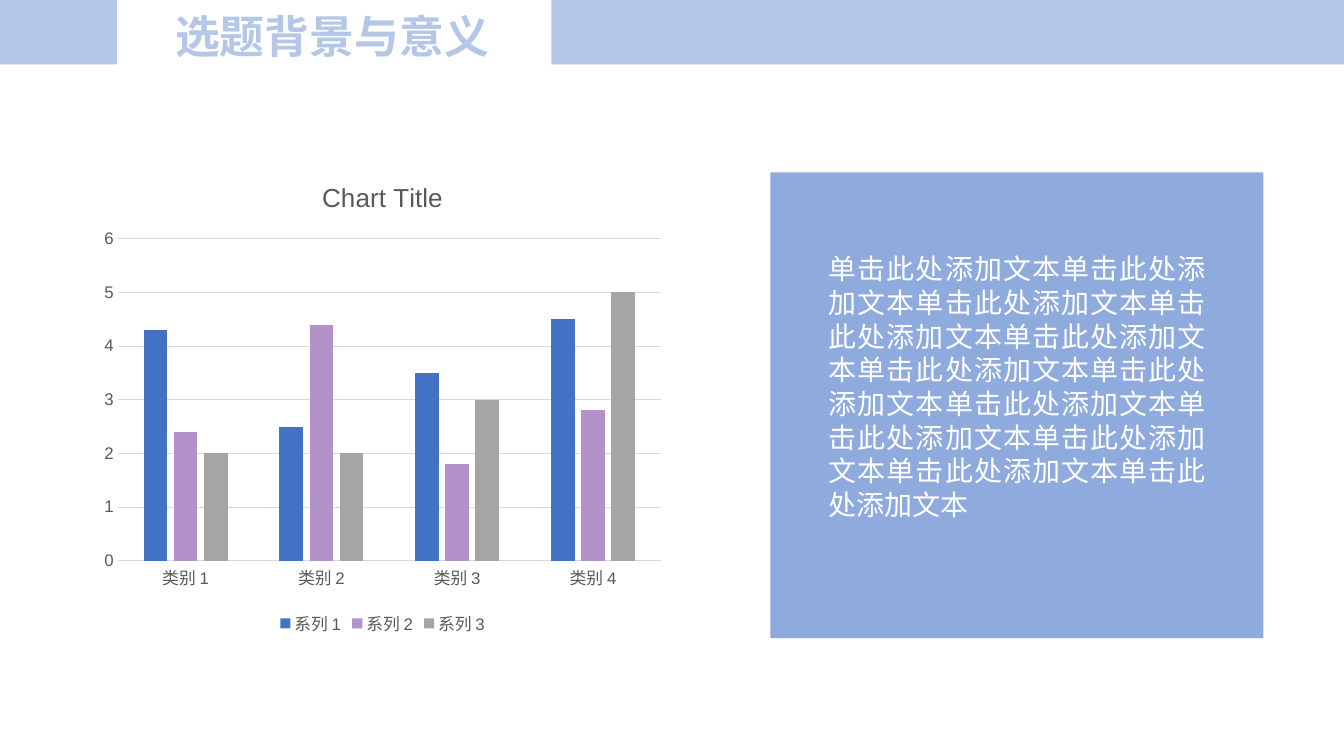
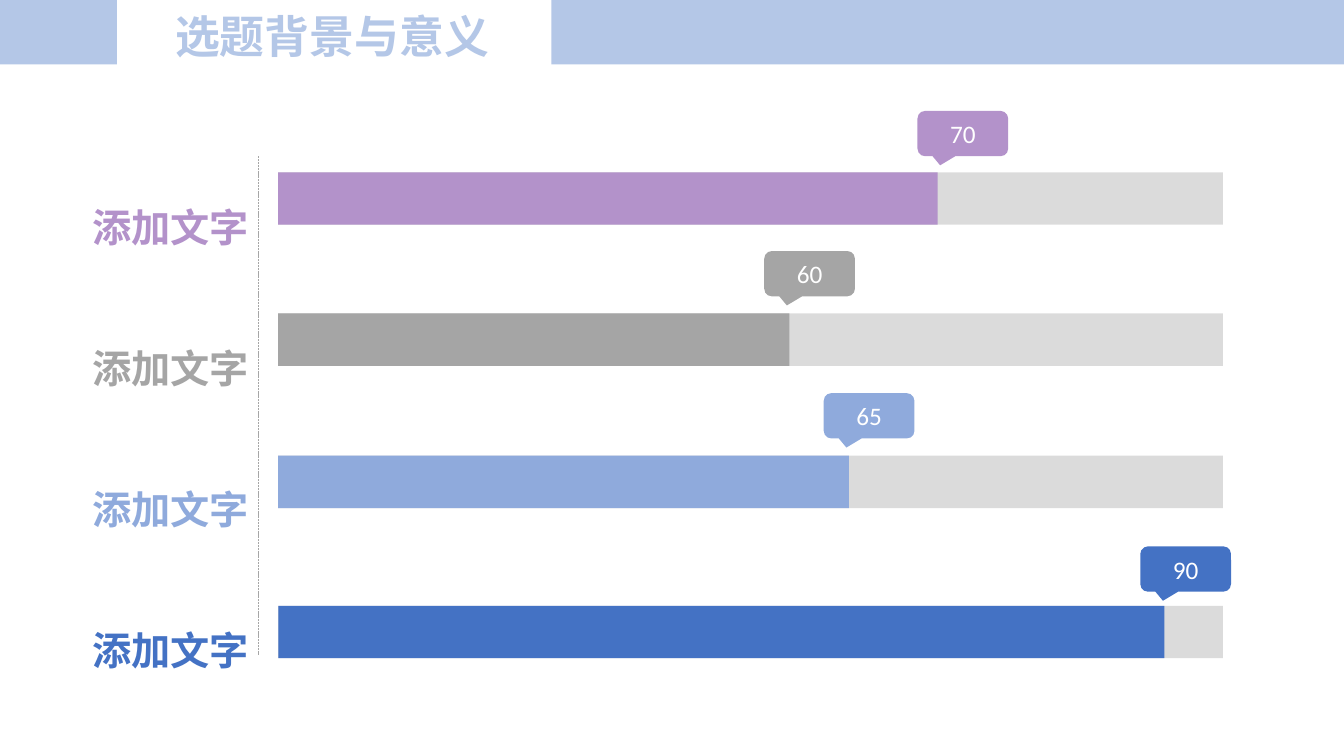
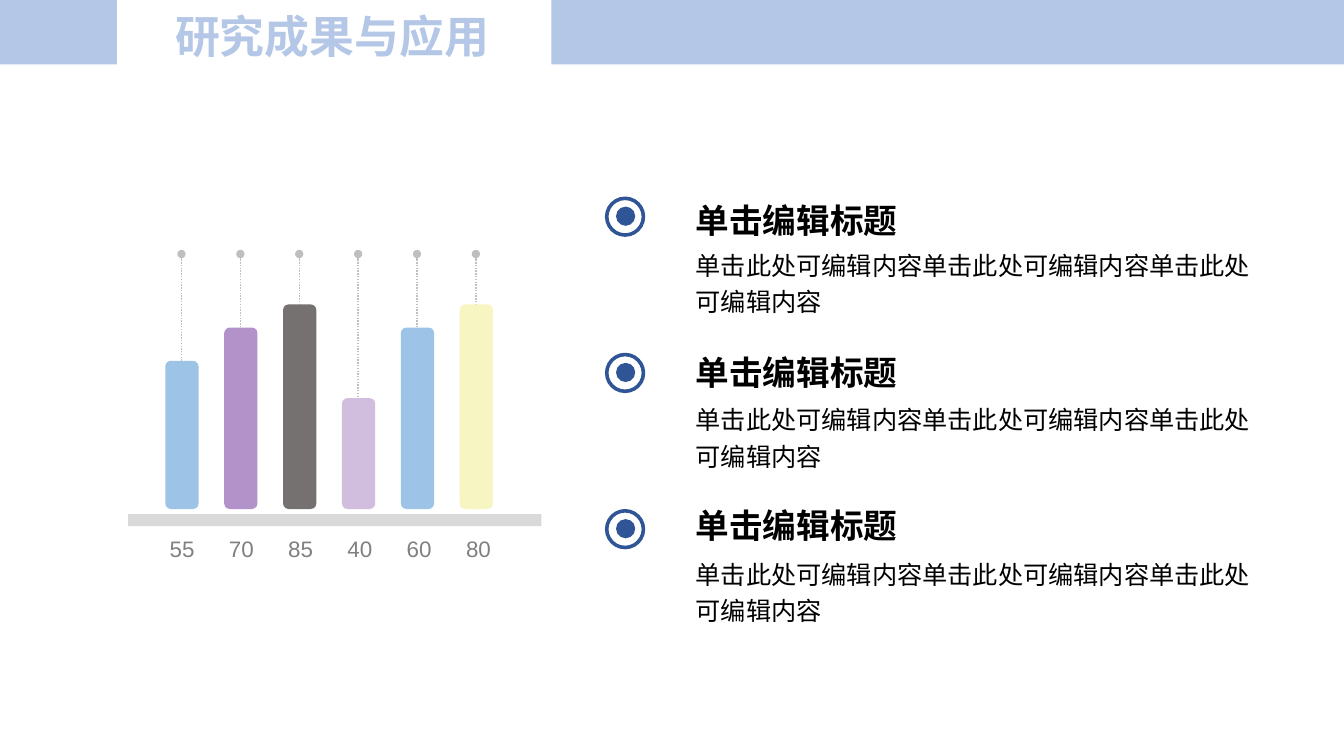
"""Build three thesis slides: a column chart, progress bars, and a pin chart with notes."""
from lxml import etree
from pptx import Presentation
from pptx.chart.data import CategoryChartData
from pptx.dml.color import RGBColor
from pptx.enum import chart as charts, dml, shapes, text
from pptx.oxml.ns import qn
from pptx.util import Inches, Pt

COLORS = {
    "band": "B4C7E7", "white": "FFFFFF", "black": "000000", "blue": "4472C4",
    "purple": "B392CA", "gray": "A5A5A5", "panel": "8FAADC", "navy": "2F5597",
    "sky": "9DC3E6", "charcoal": "767171", "lilac": "D1BEDF", "cream": "F7F5C2",
    "grid": "D9D9D9", "pin": "BFBFBF", "divider": "A6A6A6",
    "value": "808080", "chart_text": "595959",
}
COLORS = {name: RGBColor.from_string(code) for name, code in COLORS.items()}
CJK = "Noto Sans CJK SC"
SHAPE = shapes.MSO_SHAPE
CENTER = text.PP_ALIGN.CENTER
MIDDLE = text.MSO_ANCHOR.MIDDLE


def draw(page, kind, at, color):
    shape = page.shapes.add_shape(kind, *map(Inches, at))
    shape.shadow.inherit = False
    shape.fill.solid()
    shape.fill.fore_color.rgb = COLORS[color]
    shape.line.fill.background()
    return shape


def write(frame, *lines, colors=("black",), size=18, font=CJK, bold=False, align=None,
          spacing=None, anchor=text.MSO_ANCHOR.TOP, wrap=True, grow=False, margin=None):
    frame.word_wrap = wrap
    frame.vertical_anchor = anchor
    if grow:
        frame.auto_size = text.MSO_AUTO_SIZE.SHAPE_TO_FIT_TEXT
    if margin is not None:
        frame.margin_left = frame.margin_right = Inches(margin)
        frame.margin_top = frame.margin_bottom = Inches(margin)
    for index, (line, color) in enumerate(zip(lines, colors)):
        para = frame.add_paragraph() if index else frame.paragraphs[0]
        para.alignment = align
        para.line_spacing = spacing
        span = para.add_run()
        span.text = line
        span.font.size = Pt(size)
        span.font.bold = bold
        span.font.name = font
        span.font.color.rgb = COLORS[color]
        etree.SubElement(span.font._element, qn("a:ea"), typeface=font)


deck = Presentation()
deck.slide_width = Inches(13.33)
deck.slide_height = Inches(7.5)
pages = []
for title in ("选题背景与意义", "选题背景与意义", "研究成果与应用"):
    page = deck.slides.add_slide(deck.slide_layouts[6])
    draw(page, SHAPE.RECTANGLE, (5.47, 0, 7.86, 0.64), "band")
    draw(page, SHAPE.RECTANGLE, (0, 0, 1.16, 0.64), "band")
    box = page.shapes.add_textbox(*map(Inches, (1.13, 0.07, 4.33, 0.64)))
    write(box.text_frame, title, colors=["band"], size=32, bold=True, align=CENTER,
          spacing=0.9, anchor=MIDDLE)
    pages.append(page)
chart_page, progress_page, results_page = pages
ruled_lines = []

data = CategoryChartData()
data.categories = [f"类别 {number}" for number in range(1, 5)]
data.add_series("系列 1", (4.3, 2.5, 3.5, 4.5))
data.add_series("系列 2", (2.4, 4.4, 1.8, 2.8))
data.add_series("系列 3", (2, 2, 3, 5))
chart = chart_page.shapes.add_chart(
    charts.XL_CHART_TYPE.COLUMN_CLUSTERED, *map(Inches, (0.92, 1.59, 5.75, 4.76)), data).chart
chart.font.size = Pt(10)
chart.font.name = "Arial"
chart.has_title = True
write(chart.chart_title.text_frame, "Chart Title", colors=["chart_text"], size=18.6,
      font="Arial", align=CENTER)
chart.has_legend = True
chart.legend.position = charts.XL_LEGEND_POSITION.BOTTOM
chart.legend.include_in_layout = False
for font in (chart.legend.font, chart.category_axis.tick_labels.font,
             chart.value_axis.tick_labels.font):
    font.size = Pt(12)
    font.name = "Arial"
    font.color.rgb = COLORS["chart_text"]
for axis in (chart.category_axis, chart.value_axis):
    axis.major_tick_mark = axis.minor_tick_mark = charts.XL_TICK_MARK.NONE
chart.value_axis.format.line.fill.background()
for line in (chart.category_axis.format.line, chart.value_axis.major_gridlines.format.line):
    line.color.rgb = COLORS["grid"]
    line.width = Pt(0.75)
plot = chart.plots[0]
plot.gap_width = 219
plot.overlap = -27
plot.vary_by_categories = False
for series, color in zip(plot.series, ("blue", "purple", "gray")):
    series.format.fill.solid()
    series.format.fill.fore_color.rgb = COLORS[color]

draw(chart_page, SHAPE.RECTANGLE, (7.64, 1.71, 4.89, 4.62), "panel")
box = chart_page.shapes.add_textbox(*map(Inches, (8.12, 2.45, 3.94, 2.79)))
write(box.text_frame, "单击此处添加文本" * 12, colors=["white"], size=20,
      align=text.PP_ALIGN.JUSTIFY, grow=True)

progress = [
    ("70", "purple", 1.71, 6.54, 9.1, 1.1),
    ("60", "gray", 3.11, 5.07, 7.58, 2.49),
    ("65", "panel", 4.52, 5.66, 8.17, 3.9),
    ("90", "blue", 6.01, 8.79, 11.31, 5.42),
]
for value, color, top, length, callout_left, callout_top in progress:
    track = draw(progress_page, SHAPE.RECTANGLE, (2.76, top, 9.37, 0.52), "black")
    track_color = track.element.spPr.find(".//" + qn("a:srgbClr"))
    etree.SubElement(track_color, qn("a:alpha"), val="14000")
    draw(progress_page, SHAPE.RECTANGLE, (2.76, top, length, 0.52), color)
    callout = draw(progress_page, SHAPE.ROUNDED_RECTANGULAR_CALLOUT,
                   (callout_left, callout_top, 0.9, 0.45), color)
    for index, amount in enumerate((-0.25, 0.7, 0.17)):
        callout.adjustments[index] = amount
    write(callout.text_frame, value, colors=["white"], font="Calibri", align=CENTER,
          anchor=MIDDLE)
divider = progress_page.shapes.add_connector(
    shapes.MSO_CONNECTOR.STRAIGHT, *map(Inches, (2.56, 1.55, 2.56, 6.5)))
ruled_lines.append((divider, "divider", 0.5, dml.MSO_LINE.SQUARE_DOT))
box = progress_page.shapes.add_textbox(*map(Inches, (0.63, 1.03, 2.12, 5.5)))
write(box.text_frame, *["添加文字"] * len(progress), colors=[row[1] for row in progress],
      size=28, bold=True, align=CENTER, spacing=3, grow=True)

draw(results_page, SHAPE.RECTANGLE, (1.27, 5.1, 4.1, 0.12), "grid")
bars = [("55", "sky", 3.58), ("70", "purple", 3.25), ("85", "charcoal", 3.02),
        ("40", "lilac", 3.95), ("60", "sky", 3.25), ("80", "cream", 3.02)]
bar_bottom = 5.05
for index, (value, color, top) in enumerate(bars):
    left = 1.64 + index * 2.92 / 5
    center = left + 0.16
    pin = results_page.shapes.add_connector(
        shapes.MSO_CONNECTOR.STRAIGHT, *map(Inches, (center, 5.04, center, 2.52)))
    ruled_lines.append((pin, "pin", 1, dml.MSO_LINE.ROUND_DOT))
    draw(results_page, SHAPE.ROUNDED_RECTANGLE, (left, top, 0.33, bar_bottom - top), color)
    box = results_page.shapes.add_textbox(
        *map(Inches, (1.68 + index * 2.94 / 5, 5.26, 0.25, 0.32)))
    write(box.text_frame, value, colors=["value"], size=16, font="Arial", align=CENTER,
          spacing=1.2, wrap=False, grow=True, margin=0)

for index in range(3):
    ring_top = 1.95 + index * 1.55
    draw(results_page, SHAPE.OVAL, (6.11, ring_top + 0.1, 0.19, 0.19), "navy")
    ring = draw(results_page, SHAPE.DONUT, (6, ring_top, 0.4, 0.4), "navy")
    ring.adjustments[0] = 0.09
    heading = results_page.shapes.add_textbox(
        *map(Inches, (6.9, 1.9 + index * 1.515, 2.81, 0.44)))
    write(heading.text_frame, "单击编辑标题", size=24, bold=True, spacing=1.2,
          grow=True, margin=0)
    body = results_page.shapes.add_textbox(
        *map(Inches, (6.9, 2.42 + index * 1.535, 5.56, 0.7)))
    write(body.text_frame, "单击此处可编辑内容" * 3, spacing=1.2, grow=True, margin=0)

for connector, color, width, dash in ruled_lines:
    connector.line.color.rgb = COLORS[color]
    connector.line.width = Pt(width)
    connector.line.dash_style = dash
    properties = connector.element.spPr
    if color == "pin":
        etree.SubElement(properties.find(qn("a:ln")), qn("a:tailEnd"), type="oval")
    etree.SubElement(properties, qn("a:effectLst"))

deck.save("out.pptx")
